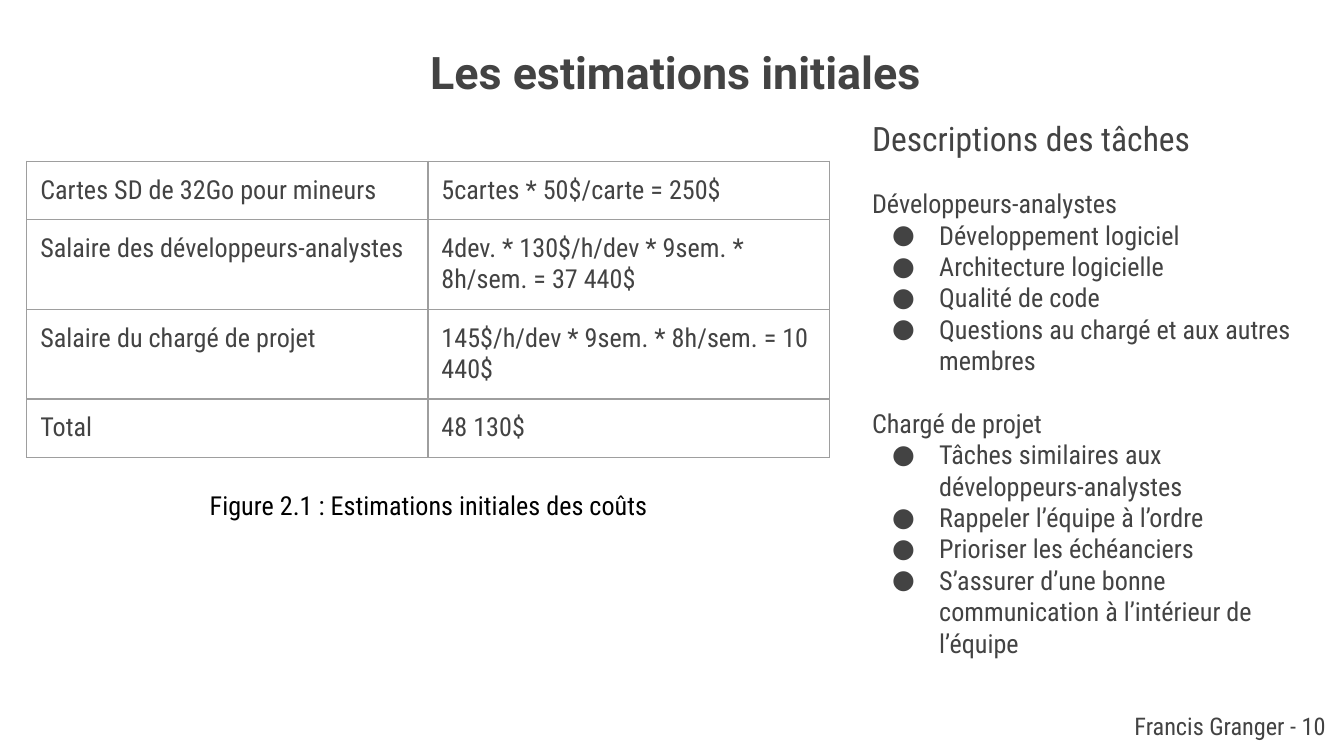
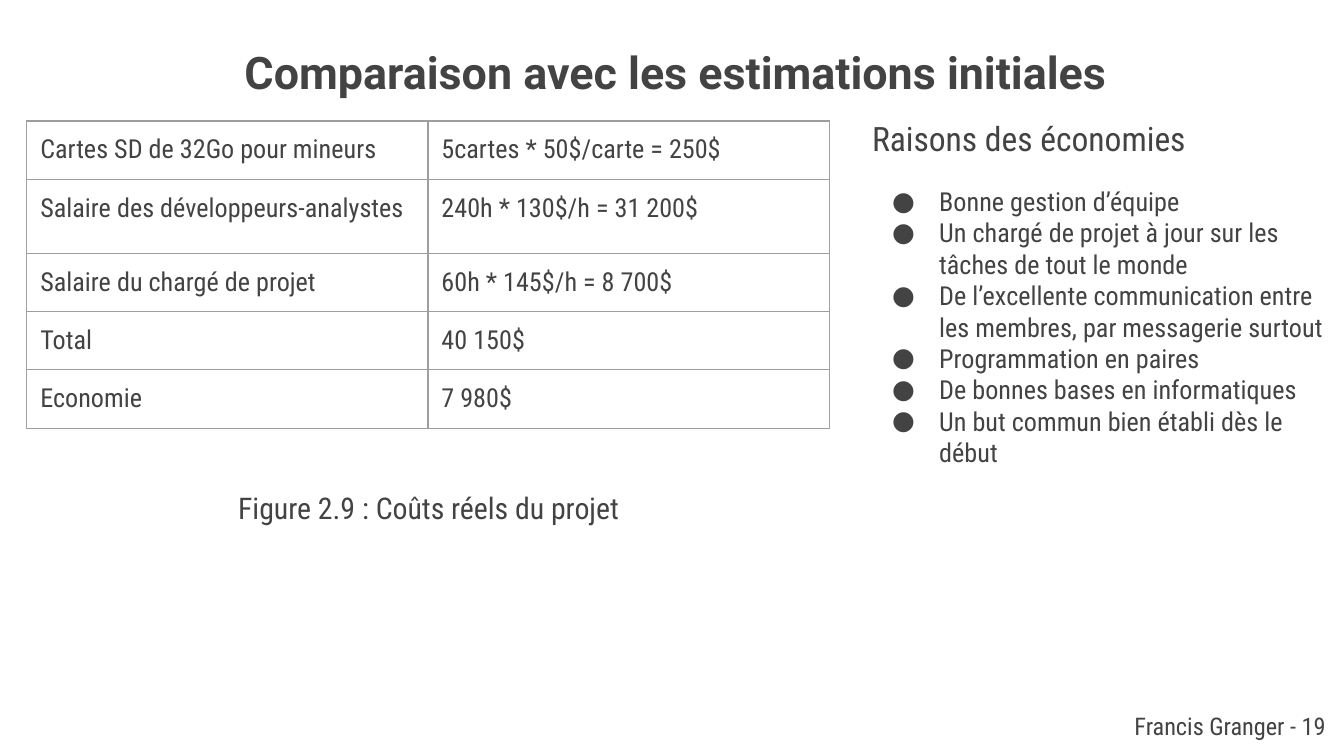
from dataclasses import dataclass

from lxml.etree import SubElement
from pptx import Presentation
from pptx.dml.color import RGBColor
from pptx.enum.text import MSO_ANCHOR, PP_ALIGN
from pptx.oxml.ns import qn
from pptx.slide import Slide
from pptx.table import _Cell
from pptx.text.text import TextFrame
from pptx.util import Inches, Pt

TITLE_FONT = "Roboto"
BODY_FONT = "Roboto Condensed"
DARK = "434343"
BLACK = "000000"
BORDER = "9E9E9E"
INSET = Inches(0.1)
LINE_HEIGHT = 1.2
TABLE_WIDTH = 5.97
ROW_HEIGHTS = (0.41, 0.55, 0.41, 0.28, 0.28)


@dataclass(frozen=True)
class Box:
    left: float
    top: float
    width: float
    height: float


@dataclass(frozen=True)
class Section:
    bullets: tuple[str, ...]
    heading: str = ""
    gap_size: float = 14


@dataclass(frozen=True)
class CostSlide:
    title: str
    table_top: float
    rows: tuple[tuple[str, str], ...]
    caption: str
    caption_size: float
    caption_color: str
    side_title: str
    side_width: float
    sections: tuple[Section, ...]
    number: int


TITLE_BOX = Box(0.85, 0.23, 8.35, 0.81)
CAPTION_BOX = Box(0.92, 3.54, 4.54, 0.53)
FOOTER_BOX = Box(8.15, 5.19, 1.81, 0.43)

SLIDES = (
    CostSlide(
        title="Les estimations initiales",
        table_top=1.2,
        rows=(
            ("Cartes SD de 32Go pour mineurs", "5cartes * 50$/carte = 250$"),
            ("Salaire des développeurs-analystes", "4dev. * 130$/h/dev * 9sem. * 8h/sem. = 37 440$"),
            ("Salaire du chargé de projet", "145$/h/dev * 9sem. * 8h/sem. = 10 440$"),
            ("Total", "48 130$"),
        ),
        caption="Figure 2.1 : Estimations initiales des coûts",
        caption_size=14,
        caption_color=BLACK,
        side_title="Descriptions des tâches",
        side_width=3.43,
        sections=(
            Section(
                heading="Développeurs-analystes",
                gap_size=13,
                bullets=(
                    "Développement logiciel",
                    "Architecture logicielle",
                    "Qualité de code",
                    "Questions au chargé et aux autres membres",
                ),
            ),
            Section(
                heading="Chargé de projet",
                bullets=(
                    "Tâches similaires aux développeurs-analystes",
                    "Rappeler l’équipe à l’ordre",
                    "Prioriser les échéanciers",
                    "S’assurer d’une bonne communication à l’intérieur de\nl’équipe",
                ),
            ),
        ),
        number=10,
    ),
    CostSlide(
        title="Comparaison avec les estimations initiales",
        table_top=0.9,
        rows=(
            ("Cartes SD de 32Go pour mineurs", "5cartes * 50$/carte = 250$"),
            ("Salaire des développeurs-analystes", "240h * 130$/h = 31 200$"),
            ("Salaire du chargé de projet", "60h * 145$/h = 8 700$"),
            ("Total", "40 150$"),
            ("Economie", "7 980$"),
        ),
        caption="Figure 2.9 : Coûts réels du projet",
        caption_size=16,
        caption_color=DARK,
        side_title="Raisons des économies",
        side_width=3.57,
        sections=(
            Section(
                gap_size=12,
                bullets=(
                    "Bonne gestion d’équipe",
                    "Un chargé de projet à jour sur les tâches de tout le monde",
                    "De l’excellente communication entre les membres, par messagerie surtout",
                    "Programmation en paires",
                    "De bonnes bases en informatiques",
                    "Un but commun bien établi dès le début",
                ),
            ),
        ),
        number=19,
    ),
)


def color(value: str) -> RGBColor:
    return RGBColor.from_string(value)


def write(
    frame: TextFrame,
    text: str,
    *,
    size: float = 14,
    font: str = BODY_FONT,
    fill: str = DARK,
    bold: bool = False,
    align: PP_ALIGN = PP_ALIGN.LEFT,
    gap_size: float = 0,
    bullet: bool = False,
) -> None:
    paragraph = frame.paragraphs[0]
    if paragraph.runs:
        paragraph = frame.add_paragraph()
    if bullet:
        properties = paragraph._p.get_or_add_pPr()
        properties.set("marL", str(Inches(0.5)))
        properties.set("indent", str(Inches(-0.35)))
        bullet_color = SubElement(properties, qn("a:buClr"))
        SubElement(bullet_color, qn("a:srgbClr"), val=fill)
        SubElement(properties, qn("a:buSzPts"), val=str(size * 100))
        SubElement(properties, qn("a:buFont"), typeface=font)
        SubElement(properties, qn("a:buChar"), char="●")
    paragraph.alignment = align
    if gap_size:
        paragraph.space_before = Pt(gap_size * LINE_HEIGHT)
    for index, line in enumerate(text.split("\n")):
        if index:
            line_break = paragraph._p.add_br()
            SubElement(line_break, qn("a:rPr"), sz=str(size * 100))
        run = paragraph.add_run()
        run.text = line
        run.font.name = font
        run.font.size = Pt(size)
        run.font.bold = bold
        run.font.color.rgb = color(fill)


def add_text_box(slide: Slide, box: Box) -> TextFrame:
    shape = slide.shapes.add_textbox(
        Inches(box.left), Inches(box.top), Inches(box.width), Inches(box.height)
    )
    frame = shape.text_frame
    frame.word_wrap = True
    frame.vertical_anchor = MSO_ANCHOR.TOP
    frame.margin_left = frame.margin_right = INSET
    frame.margin_top = frame.margin_bottom = INSET
    return frame


def format_cell(cell: _Cell) -> None:
    cell.margin_left = cell.margin_right = INSET
    cell.margin_top = cell.margin_bottom = INSET
    properties = cell._tc.get_or_add_tcPr()
    for side in ("lnL", "lnR", "lnT", "lnB"):
        line = SubElement(properties, qn(f"a:{side}"), w=str(Pt(0.75)))
        fill = SubElement(line, qn("a:solidFill"))
        SubElement(fill, qn("a:srgbClr"), val=BORDER)
    cell.fill.background()


def add_cost_table(slide: Slide, rows: tuple[tuple[str, str], ...], top: float) -> None:
    heights = ROW_HEIGHTS[: len(rows)]
    table = slide.shapes.add_table(
        len(rows), 2, Inches(0.2), Inches(top), Inches(TABLE_WIDTH), Inches(sum(heights))
    ).table
    table.first_row = False
    table.horz_banding = False
    for table_row, height, texts in zip(table.rows, heights, rows):
        table_row.height = Inches(height)
        for cell, text in zip(table_row.cells, texts):
            format_cell(cell)
            write(cell.text_frame, text)


def add_side_text(slide: Slide, content: CostSlide) -> None:
    frame = add_text_box(slide, Box(6.39, 0.78, content.side_width, 4.07))
    write(frame, content.side_title, size=18)
    for section in content.sections:
        gap_size = section.gap_size
        if section.heading:
            write(frame, section.heading, gap_size=gap_size)
            gap_size = 0
        for text in section.bullets:
            write(frame, text, bullet=True, gap_size=gap_size)
            gap_size = 0


def add_cost_slide(presentation: Presentation, content: CostSlide) -> None:
    slide = presentation.slides.add_slide(presentation.slide_layouts[6])
    write(
        add_text_box(slide, TITLE_BOX), content.title,
        size=24, font=TITLE_FONT, bold=True, align=PP_ALIGN.CENTER,
    )
    add_side_text(slide, content)
    add_cost_table(slide, content.rows, content.table_top)
    write(
        add_text_box(slide, CAPTION_BOX), content.caption,
        size=content.caption_size, fill=content.caption_color, align=PP_ALIGN.CENTER,
    )
    write(
        add_text_box(slide, FOOTER_BOX), f"Francis Granger - {content.number}",
        size=13, align=PP_ALIGN.RIGHT,
    )


def main() -> None:
    presentation = Presentation()
    presentation.slide_width = Inches(10)
    presentation.slide_height = Inches(10 * 9 / 16)
    for content in SLIDES:
        add_cost_slide(presentation, content)
    presentation.save("out.pptx")


if __name__ == "__main__":
    main()
